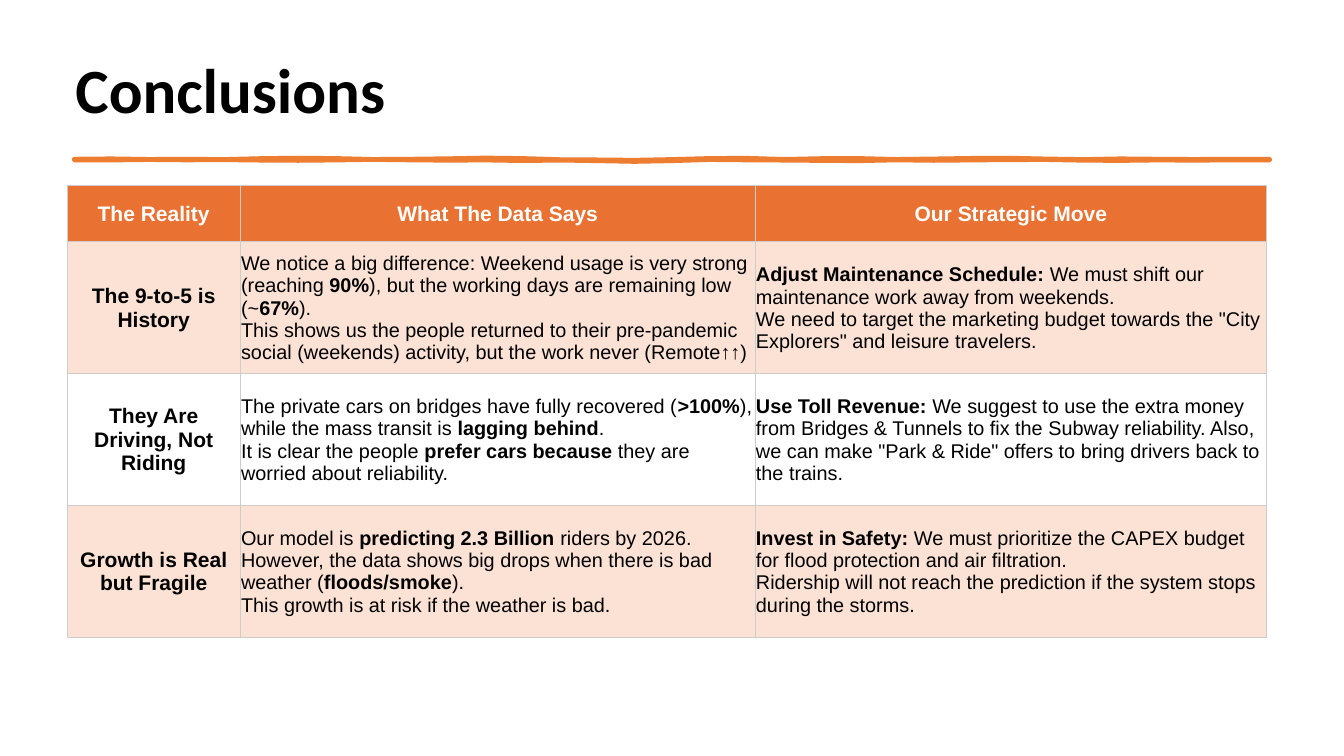
from dataclasses import dataclass

import pptx
import pptx.dml.color
import pptx.enum.text
import pptx.oxml
import pptx.oxml.ns
import pptx.util

Pt = pptx.util.Pt
MIDDLE = pptx.enum.text.MSO_ANCHOR.MIDDLE
CENTER = pptx.enum.text.PP_ALIGN.CENTER
LEFT = pptx.enum.text.PP_ALIGN.LEFT


@dataclass(frozen=True)
class Theme:
    title_font: str = "Calibri"
    table_font: str = "Arial"
    title_size: float = 54
    heading_size: float = 18
    body_size: float = 17
    black: str = "000000"
    white: str = "FFFFFF"
    rule: str = "ED7D31"
    header: str = "E97132"
    band: str = "FBE2D5"
    border: str = "CCCCCC"


THEME = Theme()

COLUMN_WIDTHS = (148.32, 441.36, 438.48)
ROW_HEIGHTS = (48.24, 113.04, 113.04, 113.04)

# Text between ** marks is bold.
ROWS = (
    ("The Reality", "What The Data Says", "Our Strategic Move"),
    (
        "The 9-to-5 is History",
        "We notice a big difference: Weekend usage is very strong (reaching **90%**), "
        "but the working days are remaining low (~**67%**).\n"
        "This shows us the people returned to their pre-pandemic social (weekends) "
        "activity, but the work never (Remote↑↑)",
        "**Adjust Maintenance Schedule:** We must shift our maintenance work away from weekends.\n"
        'We need to target the marketing budget towards the "City Explorers" and leisure travelers.',
    ),
    (
        "They Are Driving, Not Riding",
        "The private cars on bridges have fully recovered (**>100%**), "
        "while the mass transit is** lagging behind**.\n"
        "It is clear the people **prefer cars because** they are worried about reliability.",
        "**Use Toll Revenue:** We suggest to use the extra money from Bridges & Tunnels to fix "
        'the Subway reliability. Also, we can make "Park & Ride" offers to bring drivers back '
        "to the trains.",
    ),
    (
        "Growth is Real but Fragile",
        "Our model is **predicting 2.3 Billion** riders by 2026.\n"
        "However, the data shows big drops when there is bad weather (**floods/smoke**).\n"
        "This growth is at risk if the weather is bad.",
        "**Invest in Safety:** We must prioritize the CAPEX budget for flood protection "
        "and air filtration.\n"
        "Ridership will not reach the prediction if the system stops during the storms.",
    ),
)

# Height of the hand-drawn rule's edges, at equal steps from left to right.
RULE_TOP = (0, -0.3, 0.2, 0, 0.3, -0.5, -0.9, -0.6, 0.2, 0, -0.4, -1, -0.6, 0.4, 0.6, 0.9, 0.3,
            -0.6, -0.8, 0.2, -0.5, -0.6, 0.2, -0.2, -0.7, -0.9, -0.2, 0.3, -0.3, 0, 0.2, 0, 0)
RULE_BOTTOM = (0, 0.1, -0.3, 0, -0.2, 0.2, 0.4, 0.1, -0.4, 0, 0.3, 0.1, 0.6, 0.2, 0.7, 1.3, 0.7,
               -0.3, 0, 0.2, 0.5, 0.7, 0, 0.4, 0.1, -0.2, -0.3, 0.3, 0.5, 0.1, 0.3, 0, 0)


def rgb(value):
    return pptx.dml.color.RGBColor.from_string(value)


def style_run(run, font, size, color, bold):
    run.font.name = font
    run.font.size = Pt(size)
    run.font.color.rgb = rgb(color)
    run.font.bold = bold


def add_title(slide, text):
    box = slide.shapes.add_textbox(Pt(57.6), Pt(25.92), Pt(1036.8), Pt(108))
    frame = box.text_frame
    frame.word_wrap = True
    frame.vertical_anchor = MIDDLE
    frame.text = text
    paragraph = frame.paragraphs[0]
    paragraph.line_spacing = 0.9
    style_run(paragraph.runs[0], THEME.title_font, THEME.title_size, THEME.black, True)


def add_rough_rule(slide, left, top, width, thickness):
    """Draw a thin orange bar whose two long edges waver."""
    step = width / (len(RULE_TOP) - 1)
    upper = [(left + i * step, top + y) for i, y in enumerate(RULE_TOP)]
    lower = [(left + i * step, top + thickness + y) for i, y in enumerate(RULE_BOTTOM)]
    start, *rest = upper + lower[::-1]
    builder = slide.shapes.build_freeform(Pt(start[0]), Pt(start[1]))
    builder.add_line_segments([(Pt(x), Pt(y)) for x, y in rest], close=True)
    shape = builder.convert_to_shape()
    shape.shadow.inherit = False
    shape.fill.solid()
    shape.fill.fore_color.rgb = rgb(THEME.rule)
    shape.line.color.rgb = rgb(THEME.rule)
    shape.line.width = Pt(3.25)


def set_borders(cell):
    properties = cell._tc.get_or_add_tcPr()
    for side in ("lnL", "lnR", "lnT", "lnB"):
        properties.append(pptx.oxml.parse_xml(
            f'<a:{side} {pptx.oxml.ns.nsdecls("a")} w="{Pt(1)}">'
            f'<a:solidFill><a:srgbClr val="{THEME.border}"/></a:solidFill></a:{side}>'))


def write_rich_text(paragraph, text, size, color, bold):
    """Write text, toggling bold at ** and breaking the line at a newline."""
    for index, part in enumerate(text.split("**")):
        for line_index, line in enumerate(part.split("\n")):
            if line_index:
                paragraph.add_line_break()
            if line:
                run = paragraph.add_run()
                run.text = line
                style_run(run, THEME.table_font, size, color, bold or index % 2 == 1)


def fill_cell(cell, text, is_header, is_label, fill):
    set_borders(cell)
    if fill:
        cell.fill.solid()
        cell.fill.fore_color.rgb = rgb(fill)
    else:
        cell.fill.background()
    cell.vertical_anchor = MIDDLE
    cell.margin_left = cell.margin_right = cell.margin_top = Pt(0.72)
    cell.margin_bottom = Pt(0)
    heading = is_header or is_label
    paragraph = cell.text_frame.paragraphs[0]
    paragraph.alignment = CENTER if heading else LEFT
    write_rich_text(paragraph, text,
                    THEME.heading_size if heading else THEME.body_size,
                    THEME.white if is_header else THEME.black, heading)


def add_conclusions_table(slide):
    table = slide.shapes.add_table(
        len(ROWS), len(COLUMN_WIDTHS), Pt(57.6), Pt(159.12),
        Pt(sum(COLUMN_WIDTHS)), Pt(sum(ROW_HEIGHTS))).table
    for column, width in zip(table.columns, COLUMN_WIDTHS):
        column.width = Pt(width)
    for row_index, texts in enumerate(ROWS):
        table.rows[row_index].height = Pt(ROW_HEIGHTS[row_index])
        is_header = row_index == 0
        fill = THEME.header if is_header else THEME.band if row_index % 2 else None
        for column_index, text in enumerate(texts):
            fill_cell(table.cell(row_index, column_index), text,
                      is_header, column_index == 0, fill)


def main():
    presentation = pptx.Presentation()
    presentation.slide_width = Pt(1152)
    presentation.slide_height = Pt(648)
    slide = presentation.slides.add_slide(presentation.slide_layouts[6])
    add_rough_rule(slide, left=63.36, top=136.08, width=1025.28, thickness=1.44)
    add_title(slide, "Conclusions")
    add_conclusions_table(slide)
    presentation.save("out.pptx")


if __name__ == "__main__":
    main()
